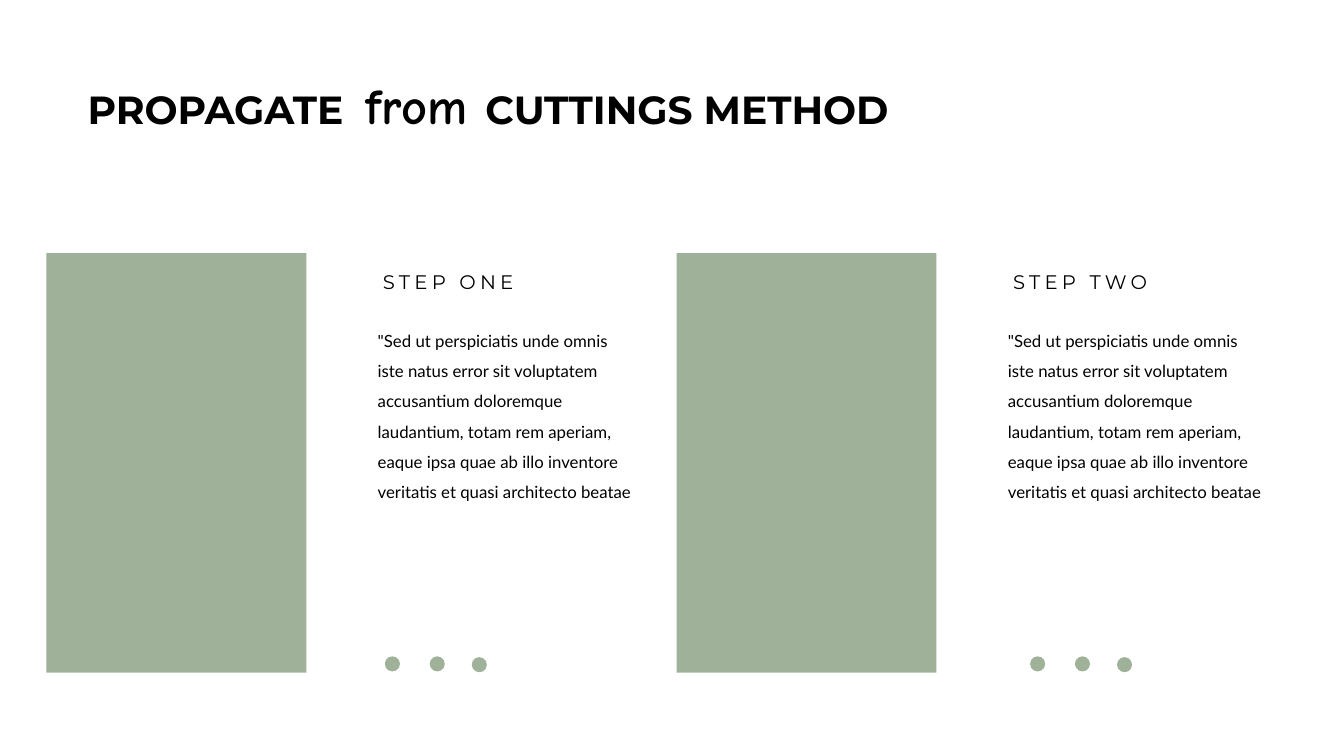
from pptx import Presentation
from pptx.dml.color import RGBColor
from pptx.enum.shapes import MSO_SHAPE
from pptx.util import Cm, Pt

SAGE = "A0B19A"
BLACK = "000000"
BODY = ('"Sed ut perspiciatis unde omnis iste natus error sit voluptatem '
        "accusantium doloremque laudantium, totam rem aperiam, eaque ipsa quae "
        "ab illo inventore veritatis et quasi architecto beatae")

prs = Presentation()
prs.slide_width, prs.slide_height = Cm(33.87), Cm(19.05)
s = prs.slides.add_slide(prs.slide_layouts[6])


def add_sage(kind, x, y, w, h):
    sp = s.shapes.add_shape(kind, Cm(x), Cm(y), Cm(w), Cm(h))
    sp.shadow.inherit = False
    sp.fill.solid()
    sp.fill.fore_color.rgb = RGBColor.from_string(SAGE)
    sp.line.fill.background()


def add_text(x, y, w, h, runs, line_spacing=1.0):
    tf = s.shapes.add_textbox(Cm(x), Cm(y), Cm(w), Cm(h)).text_frame
    tf.word_wrap = True
    p = tf.paragraphs[0]
    p.line_spacing = line_spacing
    p.font.color.rgb = RGBColor.from_string(BLACK)
    for text, font, size, bold, spacing in runs:
        r = p.add_run()
        r.text = text
        r.font.name, r.font.size, r.font.bold = font, Pt(size), bold
        r.font.color.rgb = RGBColor.from_string(BLACK)
        if spacing:
            r.font._element.set("spc", str(spacing))


add_text(1.96, 1.75, 23.32, 1.8, [
    ("PROPAGATE", "Montserrat", 28, True, 0),
    (" ", "Montserrat", 28, True, 780),
    ("from ", "Comic Neue", 36, True, 0),
    ("CUTTINGS METHOD", "Montserrat", 28, True, 0),
])

steps = [("STEP ONE", 1.17, 9.7), ("STEP TWO", 17.05, 25.96)]
for heading, left, dots_left in steps:
    add_sage(MSO_SHAPE.RECTANGLE, left, 6.38, 6.55, 10.57)
    add_text(left + 8.1, 7.95, 7.06, 5.61, [(BODY, "Lato", 12, False, 0)], 1.5)
    add_text(left + 8.23, 6.38, 4.7, 1.19,
             [(heading, "Montserrat", 14, False, 300)], 1.5)
    for dx, y in [(0, 16.54), (1.13, 16.54), (2.19, 16.56)]:
        add_sage(MSO_SHAPE.OVAL, dots_left + dx, y, 0.38, 0.38)

prs.save("out.pptx")
